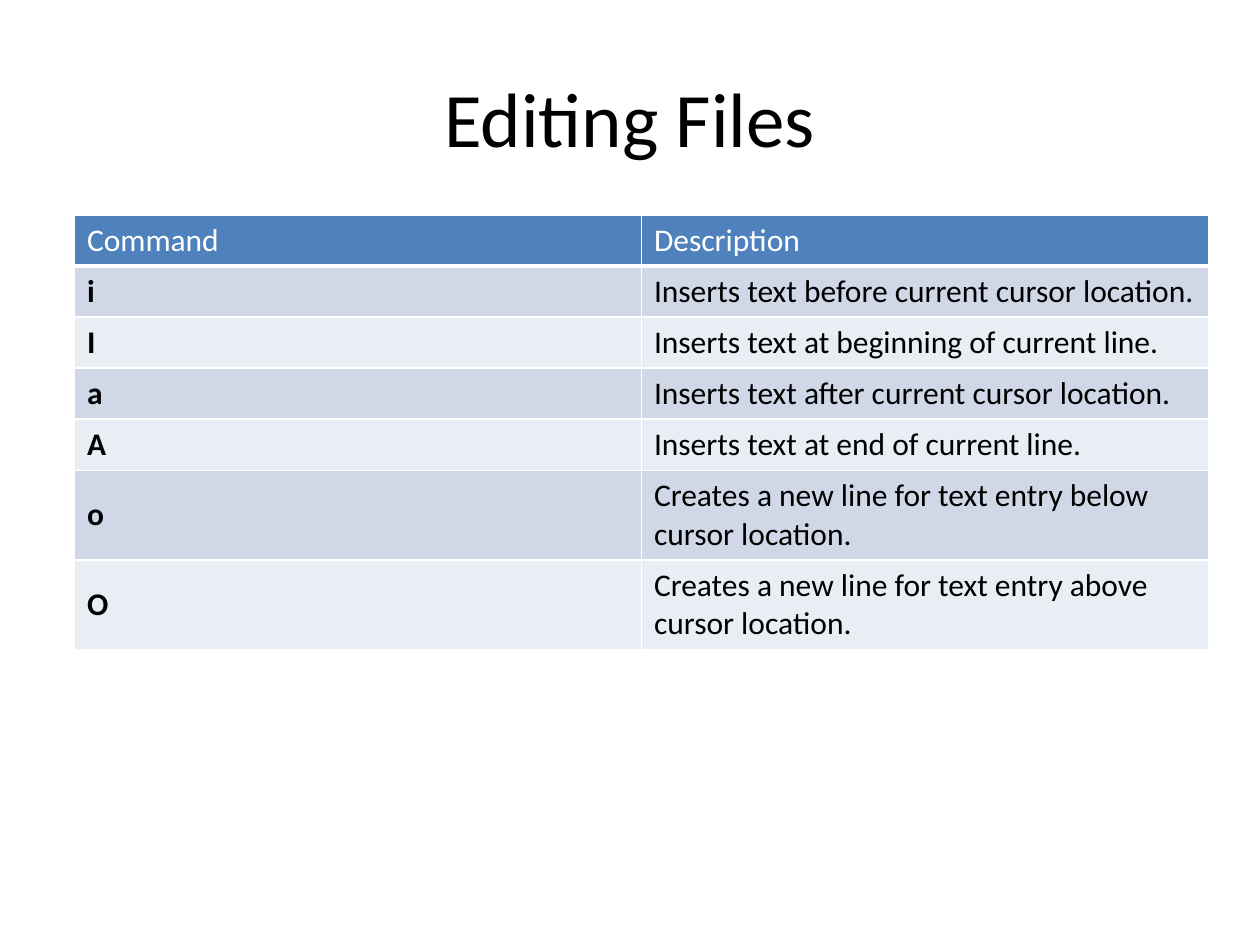
from lxml.etree import SubElement
from pptx import Presentation
from pptx.dml.color import RGBColor
from pptx.enum.text import MSO_ANCHOR, PP_ALIGN
from pptx.oxml.ns import qn
from pptx.util import Cm, Pt

COLOURS = {
    "text": "000000",
    "header_text": "FFFFFF",
    "header": "4F81BD",
    "odd_row": "D0D8E8",
    "even_row": "E9EDF4",
    "rule": "FFFFFF",
}
COMMANDS = [
    ("Command", "Description"),
    ("i", "Inserts text before current cursor location."),
    ("I", "Inserts text at beginning of current line."),
    ("a", "Inserts text after current cursor location."),
    ("A", "Inserts text at end of current line."),
    ("o", "Creates a new line for text entry below cursor location."),
    ("O", "Creates a new line for text entry above cursor location."),
]


def apply_format(target, values):
    """Set each named attribute on the target."""
    for name, value in values.items():
        setattr(target, name, value)


def write_text(frame, text, size, colour, bold=False, align=PP_ALIGN.LEFT):
    """Write one formatted paragraph, centred vertically."""
    apply_format(frame, {"word_wrap": True, "vertical_anchor": MSO_ANCHOR.MIDDLE})
    paragraph = frame.paragraphs[0]
    paragraph.alignment = align
    run = paragraph.add_run()
    run.text = text
    apply_format(run.font, {"name": "Calibri", "size": Pt(size), "bold": bold})
    run.font.color.rgb = RGBColor.from_string(COLOURS[colour])


def add_title(slide, text):
    """Place and fill the title placeholder."""
    title = slide.shapes.title
    apply_format(title, {"left": Cm(1.27), "top": Cm(0.76),
                         "width": Cm(22.86), "height": Cm(3.18)})
    write_text(title.text_frame, text, 44, "text", align=PP_ALIGN.CENTER)


def rule_cell(cell, bottom):
    """Draw the four borders of a cell."""
    properties = cell._tc.get_or_add_tcPr()
    for side, width in {"L": 1, "R": 1, "T": 1, "B": bottom}.items():
        line = SubElement(properties, qn(f"a:ln{side}"), w=str(Pt(width)))
        fill = SubElement(line, qn("a:solidFill"))
        SubElement(fill, qn("a:srgbClr"), val=COLOURS["rule"])


def fill_cell(cell, text, row, column):
    """Format a cell by its place in the table."""
    is_header = row == 0
    band = "header" if is_header else "odd_row" if row % 2 else "even_row"
    cell.vertical_anchor = MSO_ANCHOR.MIDDLE
    rule_cell(cell, 3 if row == 0 else 1)
    cell.fill.solid()
    cell.fill.fore_color.rgb = RGBColor.from_string(COLOURS[band])
    write_text(cell.text_frame, text, 18, "header_text" if is_header else "text",
               bold=column == 0 and not is_header)


def add_command_table(slide, commands):
    """Add the table of commands and their descriptions."""
    row_height = Cm(1.03)
    table = slide.shapes.add_table(len(commands), 2, Cm(1.5), Cm(4.33),
                                   Cm(22.86), row_height * len(commands)).table
    for row, entry in enumerate(commands):
        table.rows[row].height = row_height
        for column, text in enumerate(entry):
            fill_cell(table.cell(row, column), text, row, column)


def main():
    """Build and save the slide."""
    presentation = Presentation()
    apply_format(presentation, {"slide_width": Cm(25.4), "slide_height": Cm(19.05)})
    slide = presentation.slides.add_slide(presentation.slide_layouts[5])
    add_title(slide, "Editing Files")
    add_command_table(slide, COMMANDS)
    presentation.save("out.pptx")


main()
